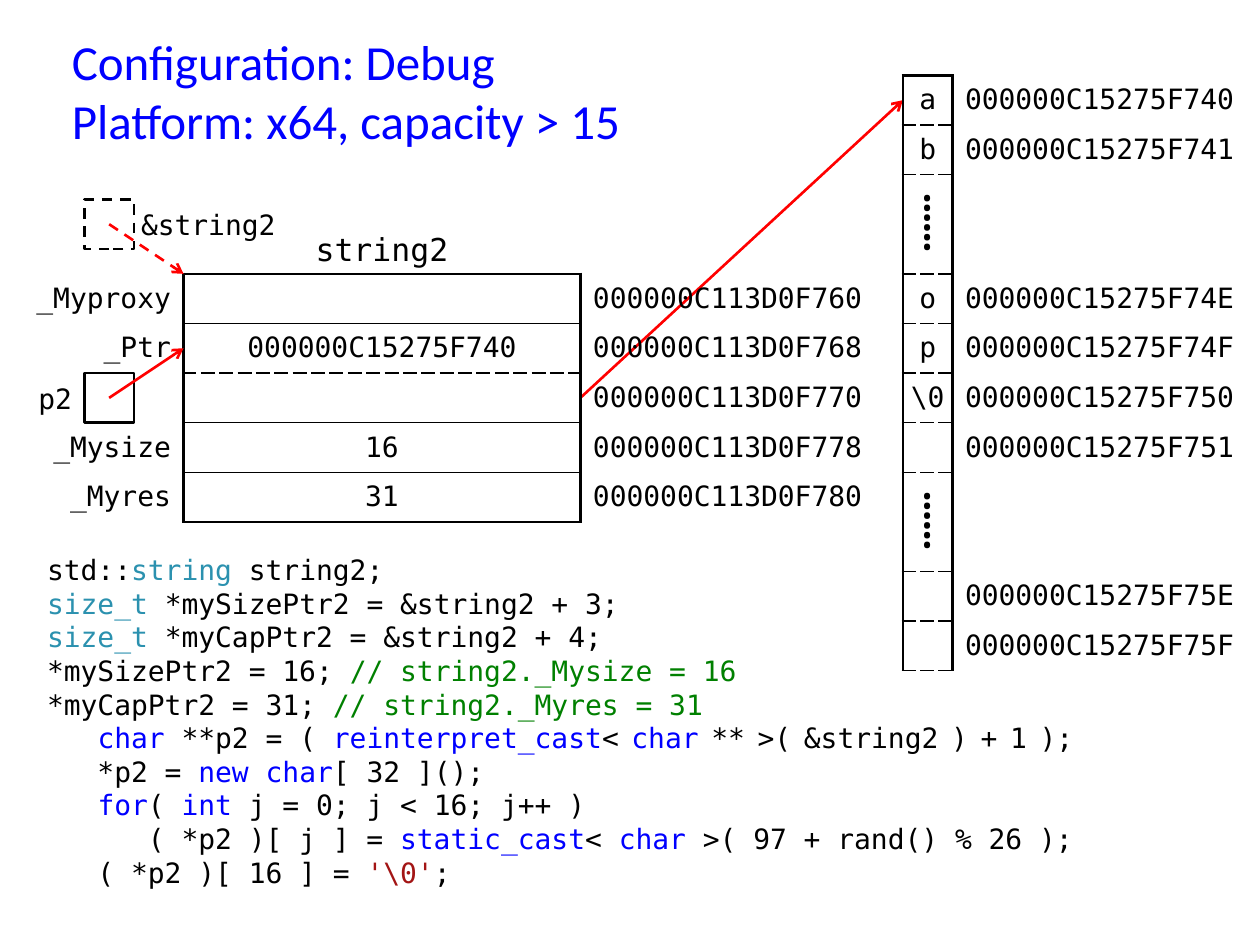
from dataclasses import dataclass, field
from itertools import groupby

from lxml import etree
from pptx import Presentation
from pptx import util as u
from pptx.dml.color import RGBColor
from pptx.enum import dml, shapes, text
from pptx.oxml.ns import qn


@dataclass(frozen=True)
class Theme:
    """Colours, fonts and sizes shared by every element."""

    mono: str = "DejaVu Sans Mono"
    heading: str = "Calibri"
    dots: str = "Times New Roman"
    body: int = 16
    label: int = 18
    large: int = 28
    narrow: int = 12
    line: float = 1.5
    rule: float = 1
    leading: float = 19.2
    arrow: str = "FF0000"
    colors: dict = field(default_factory=lambda: {
        "plain": "000000", "narrow": "000000", "type": "2B91AF",
        "keyword": "0000FF", "comment": "008000", "literal": "A31515"})


THEME = Theme()
CELL = u.Cm(1)
ORIGIN = u.Cm(0.2), u.Cm(1.52)
NO_GRID = "{2D5ABB26-0587-4C30-8999-92F81FD0307C}"
LEFT, CENTER, RIGHT = text.PP_ALIGN.LEFT, text.PP_ALIGN.CENTER, text.PP_ALIGN.RIGHT
TOP, MIDDLE = text.MSO_ANCHOR.TOP, text.MSO_ANCHOR.MIDDLE
ELLIPSIS = "⸽"

FIELDS = [
    ("_Myproxy", "", "000000C113D0F760"),
    ("_Ptr", "000000C15275F740", "000000C113D0F768"),
    ("", "", "000000C113D0F770"),
    ("_Mysize", "16", "000000C113D0F778"),
    ("_Myres", "31", "000000C113D0F780"),
]
BUFFER = [
    ("a", "000000C15275F740"), ("b", "000000C15275F741"), (ELLIPSIS, ""), ("", ""),
    ("o", "000000C15275F74E"), ("p", "000000C15275F74F"), ("\\0", "000000C15275F750"),
    ("", "000000C15275F751"), (ELLIPSIS, ""), ("", ""),
    ("", "000000C15275F75E"), ("", "000000C15275F75F"),
]
CODE = [
    [("plain", "std::"), ("type", "string "), ("plain", "string2;")],
    [("type", "size_t "), ("plain", "*mySizePtr2 = &string2 + 3;")],
    [("type", "size_t "), ("plain", "*myCapPtr2 = &string2 + 4;")],
    [("plain", "*mySizePtr2 = 16; "), ("comment", "// string2._Mysize = 16")],
    [("plain", "*myCapPtr2 = 31; "), ("comment", "// string2._Myres = 31")],
    [("plain", "   "), ("keyword", "char"), ("plain", " **p2 = ( "),
     ("keyword", "reinterpret_cast"), ("narrow", "< "), ("keyword", "char"),
     ("narrow", " ** >( &string2 ) + 1 );")],
    [("plain", "   *p2 = "), ("keyword", "new char"), ("plain", "[ 32 ]();")],
    [("plain", "   "), ("keyword", "for"), ("plain", "( "), ("keyword", "int "),
     ("plain", "j = 0; j < 16; j++ )")],
    [("plain", "      ( *p2 )[ j ] = "), ("keyword", "static_cast"), ("plain", "< "),
     ("keyword", "char"), ("plain", " >( 97 + rand() % 26 );")],
    [("plain", "   ( *p2 )[ 16 ] = "), ("literal", "'\\0'"), ("plain", ";")],
]


def assign(target, **values):
    """Set each named attribute on the target."""
    for name, value in values.items():
        setattr(target, name, value)


def place(column, row):
    """Turn a grid position into slide coordinates."""
    return ORIGIN[0] + round(column * CELL), ORIGIN[1] + round(row * CELL)


def frame(column, row, columns, rows):
    """Turn a grid block into left, top, width and height."""
    return *place(column, row), round(columns * CELL), round(rows * CELL)


def add_span(para, words, kind="plain", size=THEME.body, font=THEME.mono):
    """Add one run in the colour of its kind."""
    span = para.add_run()
    span.text = words
    assign(span.font, name=font, size=u.Pt(size))
    span.font.color.rgb = RGBColor.from_string(THEME.colors[kind])


def add_box(page, block, anchor=TOP, side=0.1):
    """Add an empty text box on the grid and return its text frame."""
    box = page.shapes.add_textbox(*frame(*block)).text_frame
    assign(box, word_wrap=True, vertical_anchor=anchor,
           margin_left=u.Inches(side), margin_right=u.Inches(side))
    return box


def add_label(page, block, words, align, anchor=MIDDLE, side=0.1, size=THEME.body):
    """Add a one-line label."""
    para = add_box(page, block, anchor, side).paragraphs[0]
    para.alignment = align
    add_span(para, words, size=size)


def add_title(page, lines):
    """Add the heading as one paragraph with line breaks."""
    para = add_box(page, (1, -1, 12.5, 2.5)).paragraphs[0]
    for index, line in enumerate(lines):
        if index:
            para.add_line_break()
        add_span(para, line, "keyword", THEME.large, THEME.heading)


def add_code(page, lines):
    """Add the coloured listing, with small spaces in narrow spans."""
    box = add_box(page, (0.5, 9.5, 24, 7))
    for index, line in enumerate(lines):
        para = box.add_paragraph() if index else box.paragraphs[0]
        para.line_spacing = u.Pt(THEME.leading)
        for kind, words in line:
            if kind != "narrow":
                add_span(para, words, kind)
                continue
            for blank, letters in groupby(words, str.isspace):
                add_span(para, "".join(letters), kind, THEME.narrow if blank else THEME.body)


def add_pointer(page, column, row, dash=None):
    """Add the outlined square that holds a pointer."""
    square = page.shapes.add_shape(shapes.MSO_SHAPE.RECTANGLE, *frame(column, row, 1, 1))
    square.shadow.inherit = False
    square.fill.background()
    square.line.color.rgb = RGBColor.from_string(THEME.colors["plain"])
    assign(square.line, width=u.Pt(THEME.line), dash_style=dash)


def add_arrow(page, start, end, dash=None):
    """Add a red arrow between two grid points."""
    arrow = page.shapes.add_connector(shapes.MSO_CONNECTOR.STRAIGHT, *place(*start), *place(*end))
    arrow.line.color.rgb = RGBColor.from_string(THEME.arrow)
    assign(arrow.line, width=u.Pt(THEME.line), dash_style=dash)
    etree.SubElement(arrow.line._get_or_add_ln(), qn("a:tailEnd"), type="arrow")
    etree.SubElement(arrow._element.spPr, qn("a:effectLst"))


def add_borders(cell, **sides):
    """Draw cell sides given as width and dash."""
    properties = cell._tc.get_or_add_tcPr()
    for side in "LRTB":
        if side in sides:
            width, dash = sides[side]
            line = etree.SubElement(properties, qn(f"a:ln{side}"), w=str(u.Pt(width)))
            fill = etree.SubElement(line, qn("a:solidFill"))
            etree.SubElement(fill, qn("a:srgbClr"), val=THEME.colors["plain"])
            etree.SubElement(line, qn("a:prstDash"), val=dash)


def add_grid(page, column, row, widths, records, aligns, boxed, rules, side):
    """Add a table whose boxed column is outlined and ruled."""
    block = frame(column, row, sum(widths), len(records))
    table = page.shapes.add_table(len(records), len(widths), *block).table
    assign(table, first_row=False, horz_banding=False)
    table._tbl.tblPr.find(qn("a:tableStyleId")).text = NO_GRID
    for item, width in zip(table.columns, widths):
        item.width = round(width * CELL)
    for y, record in enumerate(records):
        table.rows[y].height = CELL
        if record[boxed] == ELLIPSIS:
            table.cell(y, boxed).merge(table.cell(y + 1, boxed))
        for x, words in enumerate(record):
            cell = table.cell(y, x)
            inset = side if x == boxed else 0.1
            assign(cell, vertical_anchor=MIDDLE,
                   margin_left=u.Inches(inset), margin_right=u.Inches(min(inset, 0.1)),
                   margin_top=u.Inches(0.04), margin_bottom=u.Inches(0.04))
            if x == boxed:
                edge = THEME.line, "solid"
                add_borders(cell, L=edge, R=edge, T=rules[y], B=rules[y + 1])
            cell.fill.background()
            para = cell.text_frame.paragraphs[0]
            para.alignment = aligns[x]
            if words == ELLIPSIS:
                add_span(para, words, size=THEME.large, font=THEME.dots)
            elif words:
                add_span(para, words)


def main():
    """Build the string layout slide."""
    deck = Presentation()
    assign(deck, slide_width=u.Inches(10), slide_height=u.Inches(7.5))
    page = deck.slides.add_slide(deck.slide_layouts[6])
    edge, rule, dashed = (THEME.line, "solid"), (THEME.rule, "solid"), (THEME.rule, "sysDash")
    dash = dml.MSO_LINE.DASH

    add_code(page, CODE)
    add_title(page, ["Configuration: Debug", "Platform: x64, capacity > 15"])
    add_label(page, (5.5, 3, 4, 1), "string2", CENTER, TOP, size=THEME.label)
    add_arrow(page, (11.5, 6.5), (18, 0.5))
    add_grid(page, 0, 4, (3.5, 8, 6), FIELDS, (RIGHT, CENTER, LEFT), 1,
             [edge, rule, dashed, rule, rule, edge], 0.08)
    add_grid(page, 18, 0, (1, 6), BUFFER, (CENTER, LEFT), 0,
             [edge] + [dashed] * len(BUFFER), 0)
    add_pointer(page, 1.5, 2.5, dash)
    add_label(page, (2.5, 2.5, 3, 1), "&string2", CENTER, side=0)
    add_arrow(page, (2, 3), (3.5, 4), dash)
    add_label(page, (0, 6, 1.5, 1), "p2", RIGHT)
    add_pointer(page, 1.5, 6)
    add_arrow(page, (2, 6.5), (3.5, 5.5))
    deck.save("out.pptx")


if __name__ == "__main__":
    main()
